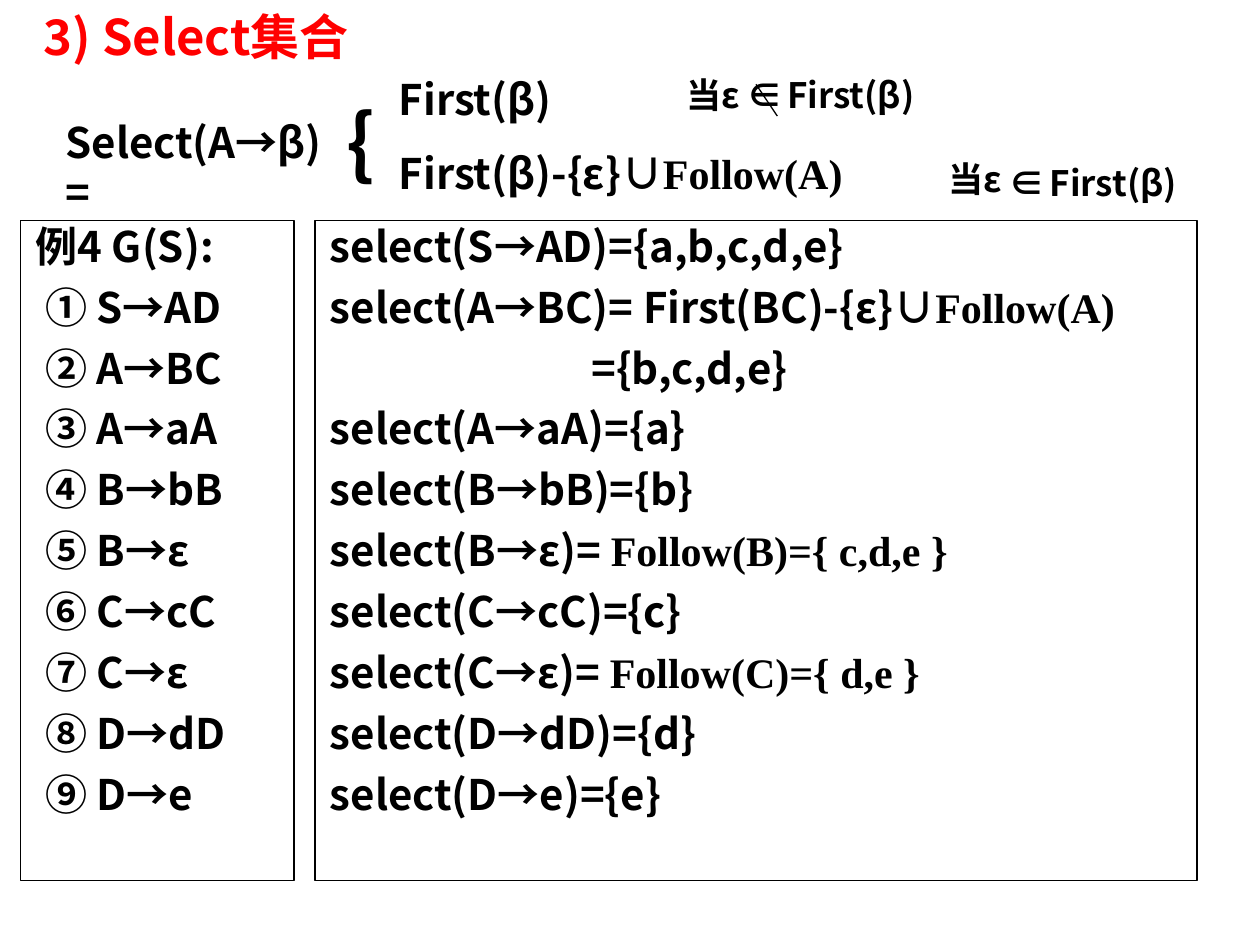
from dataclasses import dataclass
from typing import Any

from lxml.etree import SubElement
from pptx import Presentation
from pptx.dml.color import RGBColor
from pptx.enum.shapes import MSO_CONNECTOR, MSO_SHAPE
from pptx.enum.text import MSO_ANCHOR, PP_ALIGN
from pptx.oxml.ns import qn
from pptx.util import Cm, Pt

HUES = {"ink": "000000", "title": "FF0000"}
SANS = "Noto Sans CJK SC"
ROMAN = "Times New Roman"


@dataclass
class Row:
    sans: str
    roman: str = ""
    dent: float = 0


@dataclass
class Label:
    left: float
    top: float
    width: float
    height: float
    row: Row
    size: int = 24
    hue: str = "ink"


@dataclass
class Panel:
    left: float
    width: float
    rows: list[Row]


@dataclass
class Clause:
    left: float
    top: float
    drop: float
    struck: bool


def add_run(para: Any, text: str, face: str, size: int, hue: str) -> None:
    run = para.add_run()
    run.text = text
    font = run.font
    font.name, font.size, font.bold = face, Pt(size), True
    font.color.rgb = RGBColor.from_string(HUES[hue])
    SubElement(run._r.get_or_add_rPr(), qn("a:ea")).set("typeface", face)


def fill_text(shape: Any, rows: list[Row], size: int, hue: str, left: float) -> None:
    frame = shape.text_frame
    frame.word_wrap = True
    frame.vertical_anchor = MSO_ANCHOR.TOP
    frame.margin_left = Cm(left)
    frame.margin_top = frame.margin_right = frame.margin_bottom = 0
    for spot, row in enumerate(rows):
        para = frame.add_paragraph() if spot else frame.paragraphs[0]
        para.alignment = PP_ALIGN.LEFT
        if spot:
            para.space_before = Pt(6)
        if row.dent:
            para._p.get_or_add_pPr().set("marL", str(Cm(row.dent)))
        add_run(para, row.sans, SANS, size, hue)
        if row.roman:
            add_run(para, row.roman, ROMAN, size, hue)


def add_label(shapes: Any, label: Label) -> None:
    box = shapes.add_textbox(
        Cm(label.left), Cm(label.top), Cm(label.width), Cm(label.height)
    )
    fill_text(box, [label.row], label.size, label.hue, 0)


def add_panel(shapes: Any, panel: Panel) -> None:
    box = shapes.add_shape(
        MSO_SHAPE.RECTANGLE, Cm(panel.left), Cm(4.44), Cm(panel.width), Cm(13.31)
    )
    box.shadow.inherit = False
    box.fill.background()
    box.line.color.rgb = RGBColor.from_string(HUES["ink"])
    box.line.width = Pt(0.75)
    fill_text(box, panel.rows, 24, "ink", 0.3)


def add_clause(shapes: Any, clause: Clause) -> None:
    group = shapes.add_group_shape().shapes
    left, top = clause.left, clause.top
    low = top + clause.drop
    add_label(group, Label(left + 1.22, low, 0.72, 0.84, Row("∈"), 20))
    if clause.struck:
        line = group.add_connector(
            MSO_CONNECTOR.STRAIGHT,
            Cm(left + 1.4), Cm(top + 0.22), Cm(left + 1.83), Cm(top + 0.86),
        )
        line.line.color.rgb = RGBColor.from_string(HUES["ink"])
        line.line.width = Pt(0.75)
        SubElement(line._element.spPr, qn("a:effectLst"))
    add_label(group, Label(left + 2.03, low, 3.38, 0.84, Row("First(β)"), 20))
    add_label(group, Label(left, top, 1.4, 0.84, Row("当ε"), 20))


LABELS = [
    Label(0.88, 0.14, 14.5, 1.47, Row("3) Select集合"), 28, "title"),
    Label(1.32, 2.34, 5.44, 1.02, Row("Select(A→β)=")),
    Label(6.99, 1.91, 0.84, 1.85, Row("{"), 44),
    Label(8.04, 1.48, 4.01, 1.02, Row("First(β)")),
    Label(8.04, 2.97, 10.8, 1.02, Row("First(β)-{ε}∪", "Follow(A)")),
]

CLAUSES = [Clause(13.84, 1.48, 0, True), Clause(19.13, 3.18, 0.07, False)]

RULES = [
    "① S→AD", "② A→BC", "③ A→aA", "④ B→bB", "⑤ B→ε",
    "⑥ C→cC", "⑦ C→ε", "⑧ D→dD", "⑨ D→e",
]

PANELS = [
    Panel(0.42, 5.51, [Row("例4 G(S):")] + [Row(rule, dent=0.19) for rule in RULES]),
    Panel(6.35, 17.78, [
        Row("select(S→AD)={a,b,c,d,e}"),
        Row("select(A→BC)= First(BC)-{ε}∪", "Follow(A)"),
        Row("={b,c,d,e}", dent=5.27),
        Row("select(A→aA)={a}"),
        Row("select(B→bB)={b}"),
        Row("select(B→ε)= ", "Follow(B)={ c,d,e }"),
        Row("select(C→cC)={c}"),
        Row("select(C→ε)= ", "Follow(C)={ d,e }"),
        Row("select(D→dD)={d}"),
        Row("select(D→e)={e}"),
    ]),
]


def main() -> None:
    deck = Presentation()
    deck.slide_width, deck.slide_height = Cm(25.4), Cm(19.05)
    shapes = deck.slides.add_slide(deck.slide_layouts[6]).shapes
    for label in LABELS:
        add_label(shapes, label)
    for clause in CLAUSES:
        add_clause(shapes, clause)
    for panel in PANELS:
        add_panel(shapes, panel)
    deck.save("out.pptx")


if __name__ == "__main__":
    main()
